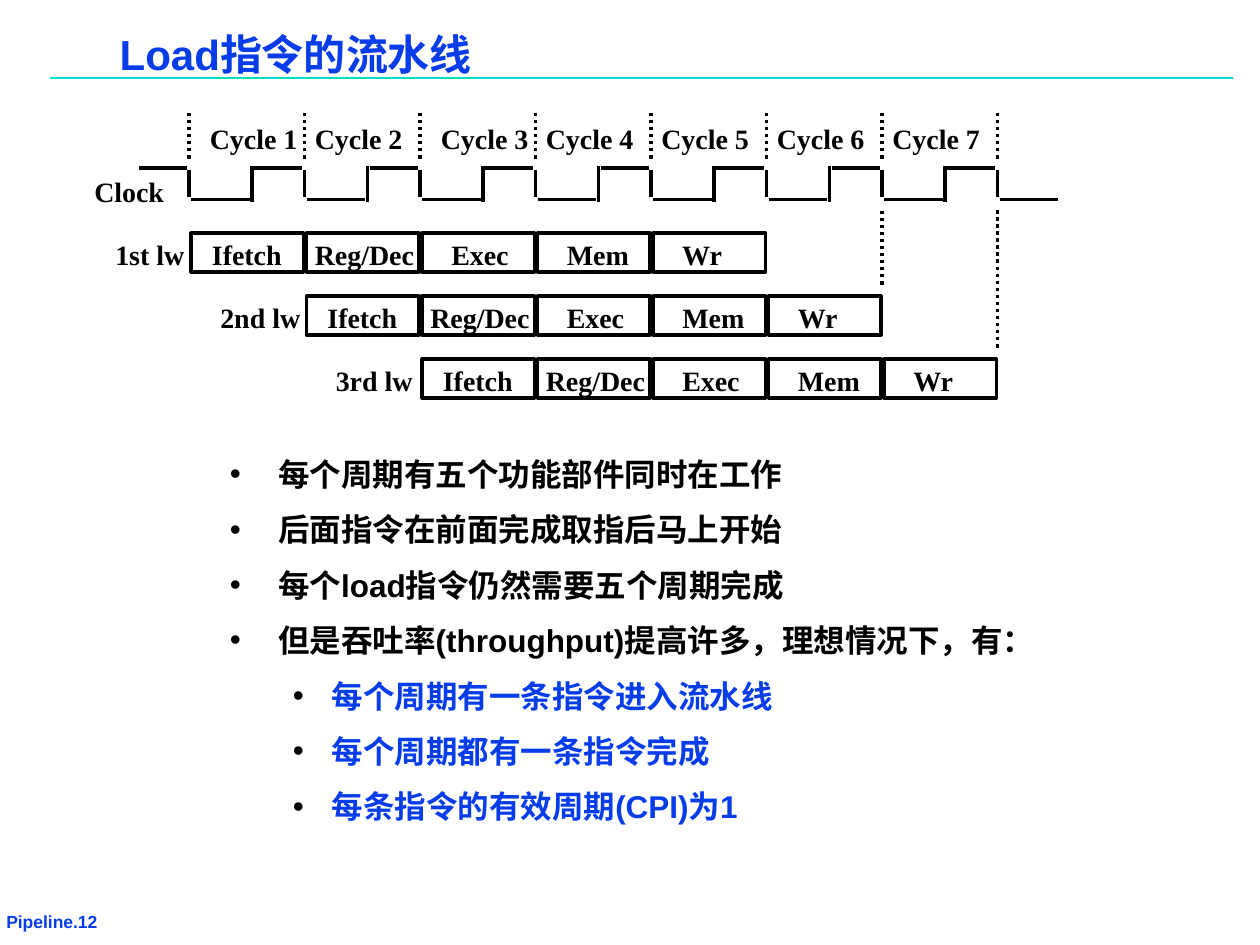
from dataclasses import dataclass

from lxml import etree
from pptx import Presentation
from pptx import util as u
from pptx.dml import color as dml_color
from pptx.enum import dml, shapes, text
from pptx.oxml import ns

PX = 7620
CYCLE_LEFT, CYCLE_WIDTH, CYCLES = 180, 110, 7
HIGH, LOW = 160, 190
ROW_TOP, ROW_PITCH = 222, 60
COLORS = {"blue": "063DE8", "teal": "00DFCA", "black": "000000"}
SANS, SERIF = "Arial", "Times New Roman"


@dataclass(frozen=True)
class Stage:
    name: str
    offset: int
    width: int


@dataclass(frozen=True)
class Instruction:
    name: str
    left: int
    width: int


@dataclass(frozen=True)
class Bullet:
    words: str
    level: int = 0


STAGES = [
    Stage("Ifetch", 10, 90),
    Stage("Reg/Dec", -2, 119),
    Stage("Exec", 18, 78),
    Stage("Mem", 18, 83),
    Stage("Wr", 18, 62),
]
INSTRUCTIONS = [
    Instruction("1st lw", 98, 90),
    Instruction("2nd lw", 198, 100),
    Instruction("3rd lw", 308, 97),
]
BULLETS = [
    Bullet("每个周期有五个功能部件同时在工作"),
    Bullet("后面指令在前面完成取指后马上开始"),
    Bullet("每个load指令仍然需要五个周期完成"),
    Bullet("但是吞吐率(throughput)提高许多，理想情况下，有："),
    Bullet("每个周期有一条指令进入流水线", 1),
    Bullet("每个周期都有一条指令完成", 1),
    Bullet("每条指令的有效周期(CPI)为1", 1),
]
BULLET_STYLES = [("black", 46, 46), ("blue", 97, 37)]


def rgb(name: str) -> dml_color.RGBColor:
    return dml_color.RGBColor.from_string(COLORS[name])


def place(shape, left: int, top: int, width: int, height: int) -> None:
    shape.left, shape.top = left * PX, top * PX
    shape.width, shape.height = width * PX, height * PX


def set_frame(frame, side: int, edge: int, wrap: bool) -> None:
    frame.margin_left = frame.margin_right = side * PX
    frame.margin_top = frame.margin_bottom = edge * PX
    frame.word_wrap = wrap
    frame.auto_size = text.MSO_AUTO_SIZE.NONE
    frame.vertical_anchor = text.MSO_ANCHOR.TOP


def set_font(paragraph, name: str, size: int, color: str) -> None:
    font = paragraph.font
    font.name, font.size, font.bold = name, u.Pt(size), True
    font.color.rgb = rgb(color)


def add_line(parent, x1: int, y1: int, x2: int, y2: int,
             color: str = "black", weight: int = 2, dotted: bool = False) -> None:
    line = parent.add_connector(
        shapes.MSO_CONNECTOR.STRAIGHT, x1 * PX, y1 * PX, x2 * PX, y2 * PX)
    line.line.color.rgb = rgb(color)
    line.line.width = u.Pt(weight)
    if dotted:
        line.line.dash_style = dml.MSO_LINE.ROUND_DOT
    etree.SubElement(line._element.spPr, ns.qn("a:effectLst"))


def add_label(parent, words: str, left: int, top: int, width: int) -> None:
    box = parent.add_textbox(left * PX, top * PX, width * PX, 43 * PX)
    set_frame(box.text_frame, 12, 6, False)
    paragraph = box.text_frame.paragraphs[0]
    paragraph.text = words
    set_font(paragraph, SERIF, 16, "black")


def cycle_start(index: int) -> int:
    return CYCLE_LEFT + index * CYCLE_WIDTH


def add_falling_edge(parent, start: int) -> None:
    add_line(parent, start + 2, LOW, start + 58, LOW)
    add_line(parent, start, HIGH + 2, start, LOW - 2)


def add_high_level(parent, start: int) -> None:
    add_line(parent, start + 62, HIGH, start + 108, HIGH)


def add_clock(parent) -> None:
    add_label(parent, "Clock", 78, 160, 90)
    add_high_level(parent, cycle_start(-1))
    for index in range(CYCLES):
        start = cycle_start(index)
        group = parent.add_group_shape().shapes
        add_falling_edge(group, start)
        add_line(group, start + 60, LOW + 2, start + 60, HIGH - 2)
        add_high_level(group, start)
        nudge = 10 if index in (0, 2) else 0
        add_label(parent, f"Cycle {index + 1}", start - 2 + nudge, 110, 107)
    add_falling_edge(parent, cycle_start(CYCLES))
    for index in range(CYCLES + 1):
        add_line(parent, cycle_start(index), 151, cycle_start(index), 108, dotted=True)
    for index, bottom in ((6, 271), (7, 331)):
        add_line(parent, cycle_start(index), bottom, cycle_start(index), 198, dotted=True)


def add_instruction(parent, row: int, instruction: Instruction) -> None:
    top = ROW_TOP + row * ROW_PITCH
    group = parent.add_group_shape().shapes
    for index, stage in enumerate(STAGES, row):
        start = cycle_start(index)
        box = group.add_shape(shapes.MSO_SHAPE.RECTANGLE,
                              (start + 2) * PX, top * PX, 107 * PX, 37 * PX)
        box.shadow.inherit = False
        box.fill.background()
        box.line.color.rgb = rgb("black")
        box.line.width = u.Pt(2)
        add_label(group, stage.name, start + stage.offset, top - 2, stage.width)
    add_label(group, instruction.name, instruction.left, top - 2, instruction.width)


def add_bullets(parent) -> None:
    box = parent.add_textbox(211 * PX, 424 * PX, 856 * PX, 364 * PX)
    frame = box.text_frame
    set_frame(frame, 8, 4, True)
    for index, bullet in enumerate(BULLETS):
        paragraph = frame.add_paragraph() if index else frame.paragraphs[0]
        color, margin, hanging = BULLET_STYLES[bullet.level]
        paragraph.text = bullet.words
        paragraph.level = bullet.level
        paragraph.line_spacing = 1.15
        if index:
            paragraph.space_before = u.Pt(6.8)
        properties = paragraph._p.get_or_add_pPr()
        properties.set("marL", str(margin * PX))
        properties.set("indent", str(-hanging * PX))
        bullet_color = etree.SubElement(properties, ns.qn("a:buClr"))
        etree.SubElement(bullet_color, ns.qn("a:srgbClr"), val=COLORS["black"])
        etree.SubElement(properties, ns.qn("a:buFont"), typeface=SANS)
        etree.SubElement(properties, ns.qn("a:buChar"), char="•")
        set_font(paragraph, SANS, 18, color)


def add_title(slide) -> None:
    title = slide.shapes.title
    place(title, 106, 30, 634, 48)
    set_frame(title.text_frame, 8, 4, True)
    paragraph = title.text_frame.paragraphs[0]
    paragraph.text = "Load指令的流水线"
    paragraph.alignment = text.PP_ALIGN.LEFT
    paragraph.line_spacing = 0.87
    set_font(paragraph, SANS, 24, "blue")


def add_footer(parent) -> None:
    footer = parent.add_textbox(-2 * PX, 864 * PX, 105 * PX, 26 * PX)
    set_frame(footer.text_frame, 8, 4, False)
    paragraph = footer.text_frame.paragraphs[0]
    paragraph.text = "Pipeline.12"
    set_font(paragraph, SANS, 10, "blue")


def main() -> None:
    presentation = Presentation()
    presentation.slide_width, presentation.slide_height = 1200 * PX, 900 * PX
    slide = presentation.slides.add_slide(presentation.slide_layouts[5])
    add_footer(slide.shapes)
    add_line(slide.shapes, 48, 74, 1174, 74, "teal", 1)
    add_title(slide)
    add_clock(slide.shapes)
    for row, instruction in enumerate(INSTRUCTIONS):
        add_instruction(slide.shapes, row, instruction)
    add_bullets(slide.shapes)
    presentation.save("out.pptx")


if __name__ == "__main__":
    main()
